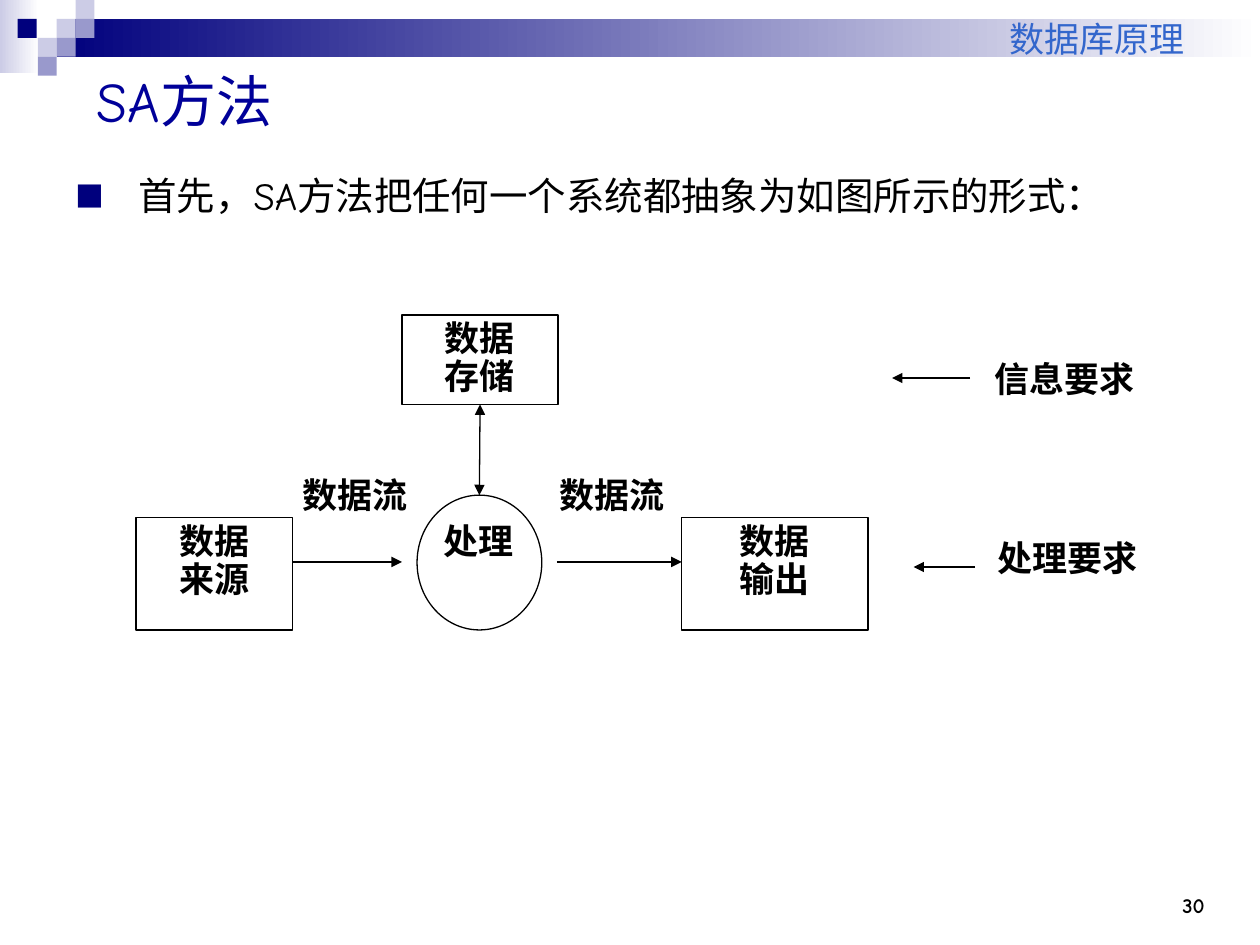
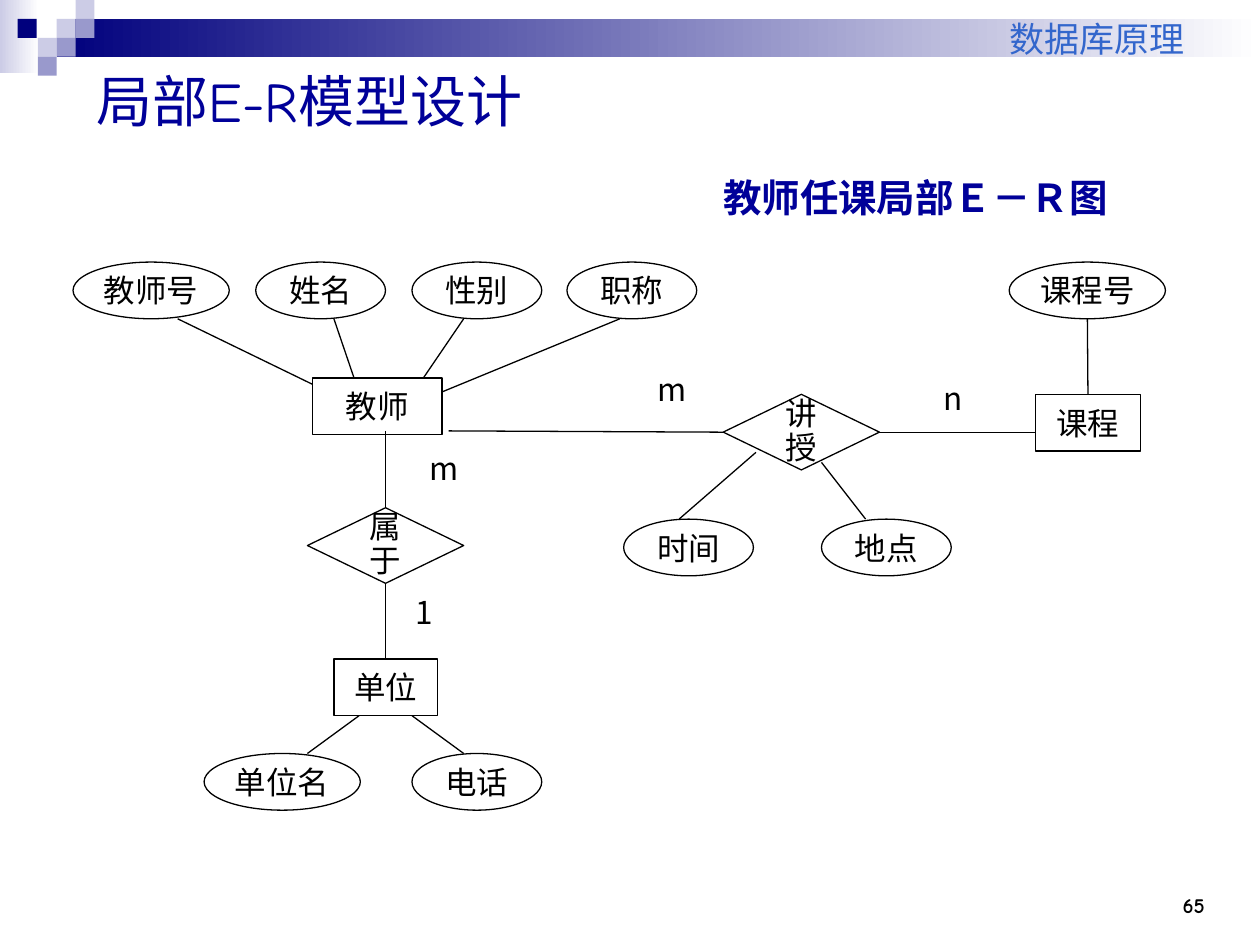
import pptx
import pptx.dml.color
import pptx.enum.shapes
import pptx.enum.text
import pptx.oxml.ns
import pptx.util
from lxml import etree

PX = 9144
BLACK, WHITE, NAVY, TITLE, HEADER = "000000", "FFFFFF", "00007D", "000099", "3366CC"
PALE, MID = "CCCCE6", "9999CC"
COMIC, SANS, SERIF = "Comic Neue", "Noto Sans CJK SC", "Times New Roman"
SHAPE = pptx.enum.shapes.MSO_SHAPE
ALIGN = {"l": pptx.enum.text.PP_ALIGN.LEFT, "c": pptx.enum.text.PP_ALIGN.CENTER,
         "r": pptx.enum.text.PP_ALIGN.RIGHT}
ANCHOR = {"t": pptx.enum.text.MSO_ANCHOR.TOP, "m": pptx.enum.text.MSO_ANCHOR.MIDDLE,
          "b": pptx.enum.text.MSO_ANCHOR.BOTTOM}


def rgb(value):
    return pptx.dml.color.RGBColor.from_string(value)


def sub(parent, tag, **attrs):
    return etree.SubElement(parent, pptx.oxml.ns.qn(tag), attrs)


def write(sp, text, size=18, font=SANS, color=BLACK, bold=False, align="c", anchor="m",
          inset=(10, 5, 10, 5), spacing=None, bullet=None, wrap=True):
    tf = sp.text_frame
    tf.word_wrap = wrap
    tf.vertical_anchor = ANCHOR[anchor]
    tf.margin_left, tf.margin_top, tf.margin_right, tf.margin_bottom = (n * PX for n in inset)
    for i, line in enumerate(text.split("\n")):
        p = tf.add_paragraph() if i else tf.paragraphs[0]
        p.alignment = ALIGN[align]
        if spacing:
            p.line_spacing = spacing
        if bullet:
            pPr = p._p.get_or_add_pPr()
            pPr.set("marL", str(50 * PX))
            pPr.set("indent", str(-50 * PX))
            sub(sub(pPr, "a:buClr"), "a:srgbClr", val=NAVY)
            sub(pPr, "a:buSzPct", val="75000")
            sub(pPr, "a:buFont", typeface=SANS)
            sub(pPr, "a:buChar", char=bullet)
        r = p.add_run()
        r.text = line
        r.font.size = pptx.util.Pt(size)
        r.font.bold = bold
        r.font.color.rgb = rgb(color)
        r.font.name = font
        sub(r._r.get_or_add_rPr(), "a:ea", typeface=SANS)


class Deck:
    """Holds the shared style and the slide being drawn."""

    def __init__(self):
        self.prs = pptx.Presentation()
        self.prs.slide_width, self.prs.slide_height = 1000 * PX, 750 * PX

    def slide(self, title, number):
        self.s = self.prs.slides.add_slide(self.prs.slide_layouts[6])
        self.shape((0, 0, 31, 58), fill=(PALE, WHITE), line=None)
        self.shape((45, 15, 955, 30), fill=(NAVY, WHITE), line=None)
        for x, y, color in ((45, 15, PALE), (60, 0, PALE), (60, 15, MID), (30, 30, PALE),
                            (14, 15, NAVY), (45, 30, MID), (30, 45, MID)):
            self.shape((x, y, 15, 15), fill=color, line=None)
        self.text((883, 683, 83, 50), str(number), size=12, font=COMIC, bold=True,
                  align="r", anchor="b")
        self.text((383, 0, 592, 52), "数据库原理", size=20, font=COMIC, color=HEADER,
                  align="r", anchor="b", inset=(10, 5, 35, 5))
        self.text((67, 42, 900, 75), title, size=32, font=COMIC, color=TITLE, align="l")

    def text(self, box, text, **fmt):
        sp = self.s.shapes.add_textbox(*(n * PX for n in box))
        write(sp, text, **fmt)
        return sp

    def shape(self, box, text="", kind=SHAPE.RECTANGLE, fill=WHITE, line=BLACK, **fmt):
        sp = self.s.shapes.add_shape(kind, *(n * PX for n in box))
        sp.shadow.inherit = False
        if isinstance(fill, tuple):
            sp.fill.gradient()
            sp.fill.gradient_angle = 0
            for stop, color in zip(sp.fill.gradient_stops, fill):
                stop.color.rgb = rgb(color)
        elif fill:
            sp.fill.solid()
            sp.fill.fore_color.rgb = rgb(fill)
        else:
            sp.fill.background()
        if line:
            sp.line.color.rgb = rgb(line)
            sp.line.width = pptx.util.Pt(0.75)
        else:
            sp.line.fill.background()
        if text:
            write(sp, text, **fmt)
        return sp

    def line(self, start, end, heads=(), begin=None, finish=None):
        cn = self.s.shapes.add_connector(pptx.enum.shapes.MSO_CONNECTOR.STRAIGHT,
                                         *(n * PX for n in start + end))
        if begin:
            cn.begin_connect(*begin)
        if finish:
            cn.end_connect(*finish)
        cn.line.color.rgb = rgb(BLACK)
        cn.line.width = pptx.util.Pt(0.75)
        for head in heads:
            sub(cn.line._get_or_add_ln(), head, type="triangle")
        sub(cn._element.spPr, "a:effectLst")


def sa_method(deck):
    deck.slide("SA方法", 30)
    deck.text((50, 117, 917, 583), "首先，SA方法把任何一个系统都抽象为如图所示的形式：", size=22,
              font=COMIC, align="l", anchor="t", spacing=1.4, bullet="■")
    bold = dict(size=20, font=SERIF, bold=True, anchor="t", inset=(0, 5, 0, 5), spacing=0.9)
    process = deck.shape((331, 393, 99, 107), kind=SHAPE.OVAL, fill=None)
    store = deck.shape((319, 250, 124, 71), "数据\n存储", fill=None, **bold)
    deck.shape((108, 411, 124, 89), "数据\n来源", fill=None, **bold)
    deck.shape((541, 411, 148, 89), "数据\n输出", fill=None, **bold)
    for box, label in (((430, 375, 111, 71), "数据流"), ((232, 375, 99, 71), "数据流"),
                       ((343, 411, 74, 53), "处理"), ((783, 283, 124, 73), "信息要求"),
                       ((785, 425, 124, 57), "处理要求")):
        deck.text(box, label, **bold)
    for x1, x2, y in ((232, 319, 446), (442, 541, 446), (770, 708, 300), (774, 725, 450)):
        deck.line((x1, y), (x2, y), ["a:tailEnd"])
    deck.line((381, 321), (381, 393), ["a:headEnd", "a:tailEnd"], (store, 2), (process, 0))


def er_model(deck):
    deck.slide("局部E-R模型设计", 65)
    deck.text((564, 133, 325, 47), "教师任课局部Ｅ－Ｒ图", size=22, color=TITLE, bold=True,
              anchor="t", wrap=False)
    for box, label, align in (((306, 463, 62, 45), "1", "c"), ((331, 359, 33, 25), "m", "l"),
                              ((739, 298, 37, 35), "n", "l"), ((512, 292, 41, 34), "m", "l")):
        deck.shape(box, label, line=None, align=align)
    for x, y, label in ((58, 208, "教师号"), (203, 208, "姓名"), (327, 208, "性别"),
                        (450, 208, "职称"), (801, 208, "课程号"), (162, 598, "单位名"),
                        (327, 598, "电话"), (495, 412, "时间"), (652, 412, "地点")):
        width = 124 if len(label) == 3 else 103
        deck.shape((x, y, width, 45), label, SHAPE.OVAL, inset=(0, 5, 0, 5))
    deck.shape((248, 300, 103, 45), "教师")
    course = deck.shape((822, 313, 83, 45), "课程")
    unit = deck.shape((265, 523, 82, 45), "单位", inset=(0, 5, 0, 5))
    teaches, belongs = (deck.shape((x, y, 124, 60), label, SHAPE.DIAMOND, spacing=0.9)
                        for x, y, label in ((574, 313, "讲授"), (244, 403, "属于")))
    for start, end in (((141, 253), (248, 305)), ((492, 253), (351, 311)),
                       ((265, 253), (281, 300)), ((368, 253), (336, 300)),
                       ((285, 568), (244, 598)), ((327, 568), (368, 598)),
                       ((600, 359), (539, 412)), ((652, 367), (687, 412))):
        deck.line(start, end)
    deck.line((356, 342), (574, 343), finish=(teaches, 1))
    deck.line((698, 343), (822, 343), begin=(teaches, 3))
    deck.line((863, 253), (863, 313), finish=(course, 0))
    deck.line((306, 342), (306, 403), finish=(belongs, 0))
    deck.line((306, 463), (306, 523), begin=(belongs, 2), finish=(unit, 0))


def main():
    deck = Deck()
    sa_method(deck)
    er_model(deck)
    deck.prs.save("out.pptx")


if __name__ == "__main__":
    main()
